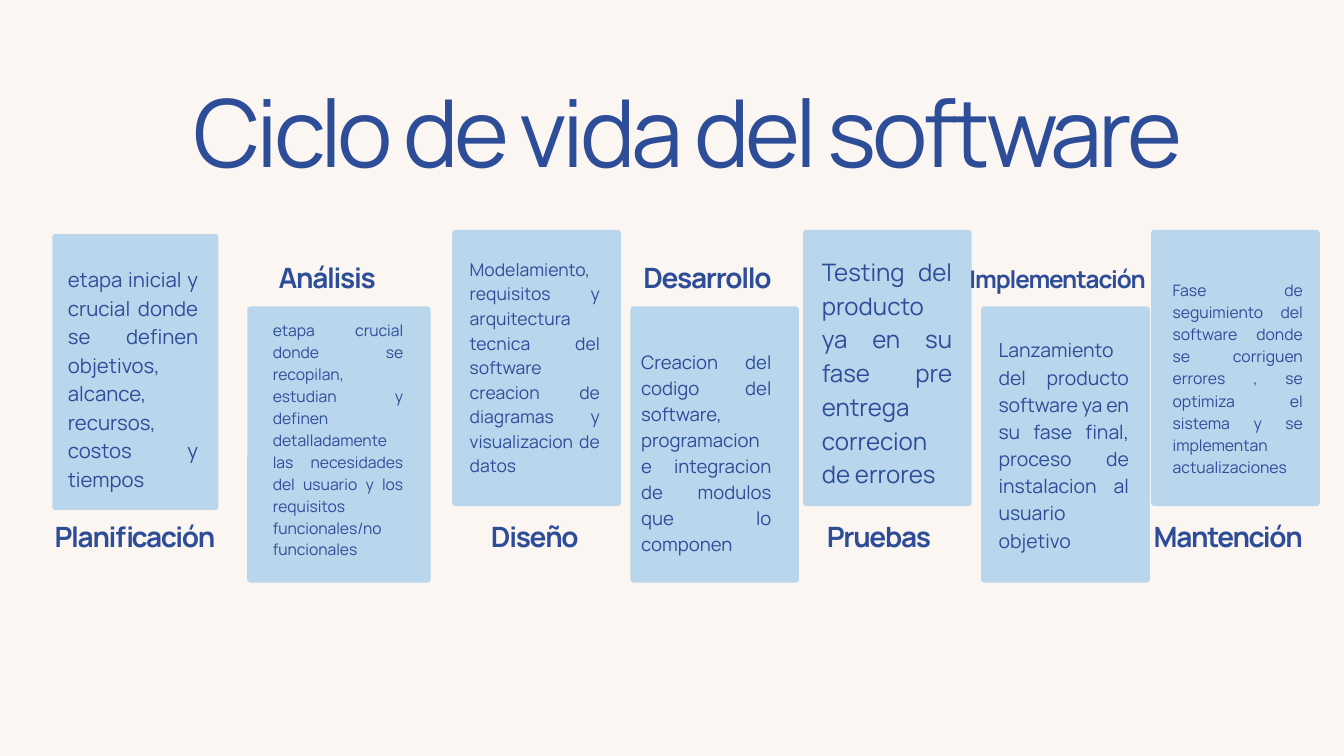
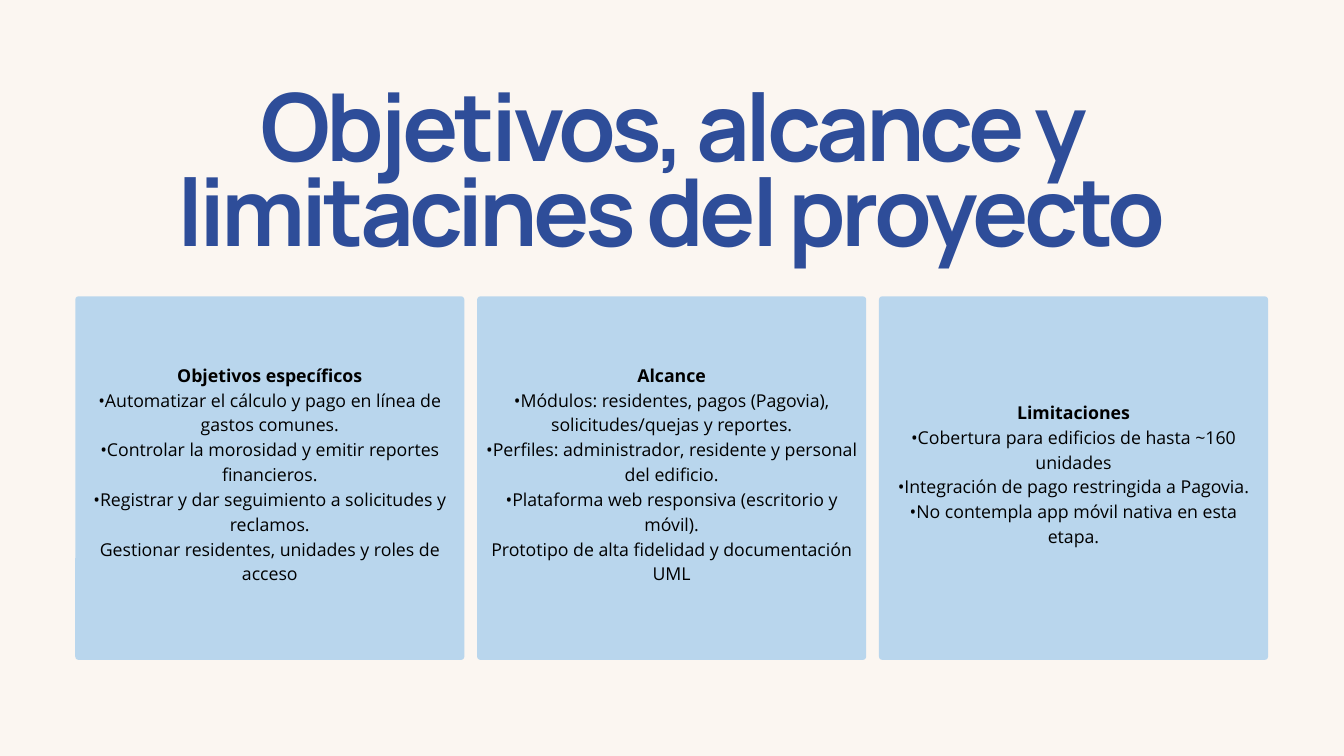
import pptx
import pptx.dml.color
import pptx.enum.shapes
import pptx.enum.text
import pptx.util
from pptx.util import Inches

CREAM = pptx.dml.color.RGBColor(0xFB, 0xF6, 0xF1)
SKY = pptx.dml.color.RGBColor(0xB9, 0xD6, 0xED)
NAVY = pptx.dml.color.RGBColor(0x2E, 0x4D, 0x99)
BLACK = pptx.dml.color.RGBColor(0, 0, 0)
ALIGN = pptx.enum.text.PP_ALIGN
TITLE_SIZE = 100.4
BODY_LEADING = 1.4
HEAD_LEADING = 0.9


def add_card(slide, x, y, w, h):
    """Sky-blue card with slightly rounded corners."""
    sp = slide.shapes.add_shape(
        pptx.enum.shapes.MSO_SHAPE.ROUNDED_RECTANGLE,
        Inches(x), Inches(y), Inches(w), Inches(h))
    sp.adjustments[0] = 0.05 / min(w, h)
    sp.shadow.inherit = False
    sp.fill.solid()
    sp.fill.fore_color.rgb = SKY
    sp.line.fill.background()
    return sp


def add_text(slide, x, y, w, h, text, size, heading=False, bold=False):
    """Navy text box: tight centred heading or justified body."""
    sp = slide.shapes.add_textbox(Inches(x), Inches(y), Inches(w), Inches(h))
    tf = sp.text_frame
    tf.word_wrap = True
    tf.margin_left = tf.margin_right = tf.margin_top = tf.margin_bottom = 0
    p = tf.paragraphs[0]
    p.text = text
    p.alignment = ALIGN.CENTER if heading else ALIGN.JUSTIFY
    leading = HEAD_LEADING if heading else BODY_LEADING
    p.line_spacing = pptx.util.Pt(round(size * leading, 1))
    r = p.runs[0]
    r.font.name = "Manrope"
    r.font.size = pptx.util.Pt(size)
    r.font.bold = bold
    r.font.color.rgb = NAVY
    if heading:
        r.font._element.set("spc", str(round(-4.6 * size)))


prs = pptx.Presentation()
prs.slide_width = Inches(20)
prs.slide_height = Inches(11.25)
prs.slide_master.background.fill.solid()
prs.slide_master.background.fill.fore_color.rgb = CREAM
blank = prs.slide_layouts[6]

# Slide 1: software life cycle, cards alternating high and low
s = prs.slides.add_slide(blank)
add_text(s, 2.66, 1.51, 15.15, 1.37, "Ciclo de vida del software",
         TITLE_SIZE, heading=True)

CARD_H, LABEL_W, BODY_W = 4.11, 3, 1.94
# card (left, top, width), label (text, centre, top, size),
# body (left, top, height, size, text)
stages = [
    ((0.78, 3.48, 2.47), ("Planificación", 2.01, 7.85, 30),
     (1.01, 3.92, 3.32, 21.8,
      "etapa inicial y crucial donde se definen objetivos, alcance, "
      "recursos, costos y tiempos")),
    ((3.68, 4.56, 2.73), ("Análisis", 4.87, 4, 30),
     (4.06, 4.73, 3.56, 16.8,
      "etapa crucial donde se recopilan, estudian y definen detalladamente "
      "las necesidades del usuario y los requisitos funcionales/no "
      "funcionales")),
    ((6.73, 3.42, 2.51), ("Diseño", 7.96, 7.85, 30),
     (6.99, 3.8, 3.28, 18.8,
      "Modelamiento, requisitos y arquitectura tecnica del software "
      "creacion de diagramas y visualizacion de datos")),
    ((9.38, 4.56, 2.51), ("Desarrollo", 10.53, 4, 30),
     (9.54, 5.16, 3.08, 19.9,
      "Creacion del codigo del software, programacion e integracion de "
      "modulos que lo componen")),
    ((11.95, 3.42, 2.51), ("Pruebas", 13.08, 7.85, 30),
     (12.23, 3.76, 3.49, 25.8,
      "Testing del producto ya en su fase pre entrega correcion de "
      "errores")),
    ((14.6, 4.56, 2.51), ("Implementación", 15.74, 4.04, 26),
     (14.86, 4.98, 3.17, 20.8,
      "Lanzamiento del producto software ya en su fase final, proceso de "
      "instalacion al usuario objetivo")),
    ((17.13, 3.42, 2.51), ("Mantención", 18.28, 7.85, 30),
     (17.45, 4.13, 2.91, 16.9,
      "Fase de seguimiento del software donde se corriguen errores , se "
      "optimiza el sistema y se implementan actualizaciones")),
]
for card, _, _ in stages:
    add_card(s, *card, CARD_H)
for _, (label, centre, top, size), (x, y, h, body_size, body) in stages:
    add_text(s, centre - LABEL_W / 2, top, LABEL_W, 0.4, label, size,
             heading=True, bold=True)
    add_text(s, x, y, BODY_W, h, body, body_size)

# Slide 2: three equal columns
s = prs.slides.add_slide(blank)
add_text(s, 2.42, 1.43, 15.15, 2.62,
         "Objetivos, alcance y limitacines del proyecto",
         TITLE_SIZE, heading=True, bold=True)

columns = [
    ["Objetivos específicos",
     "•Automatizar el cálculo y pago en línea de gastos comunes.",
     "•Controlar la morosidad y emitir reportes financieros.",
     "•Registrar y dar seguimiento a solicitudes y reclamos.",
     "Gestionar residentes, unidades y roles de acceso"],
    ["Alcance",
     "•Módulos: residentes, pagos (Pagovia), solicitudes/quejas y reportes.",
     "•Perfiles: administrador, residente y personal del edificio.",
     "•Plataforma web responsiva (escritorio y móvil).",
     "Prototipo de alta fidelidad y documentación UML"],
    ["Limitaciones",
     "•Cobertura para edificios de hasta ~160 unidades",
     "•Integración de pago restringida a Pagovia.",
     "•No contempla app móvil nativa en esta etapa."],
]
COLUMN_W, COLUMN_STEP = 5.79, 5.98
for i, lines in enumerate(columns):
    sp = add_card(s, 1.12 + i * COLUMN_STEP, 4.41, COLUMN_W, 5.41)
    tf = sp.text_frame
    tf.word_wrap = True
    tf.vertical_anchor = pptx.enum.text.MSO_ANCHOR.MIDDLE
    tf.margin_left = tf.margin_right = tf.margin_top = Inches(0.06)
    tf.margin_bottom = Inches(0.22)
    tf.text = "\n".join(lines)
    for n, p in enumerate(tf.paragraphs):
        p.alignment = ALIGN.CENTER
        p.line_spacing = pptx.util.Pt(26.6)
        r = p.runs[0]
        r.font.name = "Open Sans"
        r.font.size = pptx.util.Pt(19)
        r.font.bold = n == 0
        r.font.color.rgb = BLACK

prs.save("out.pptx")
